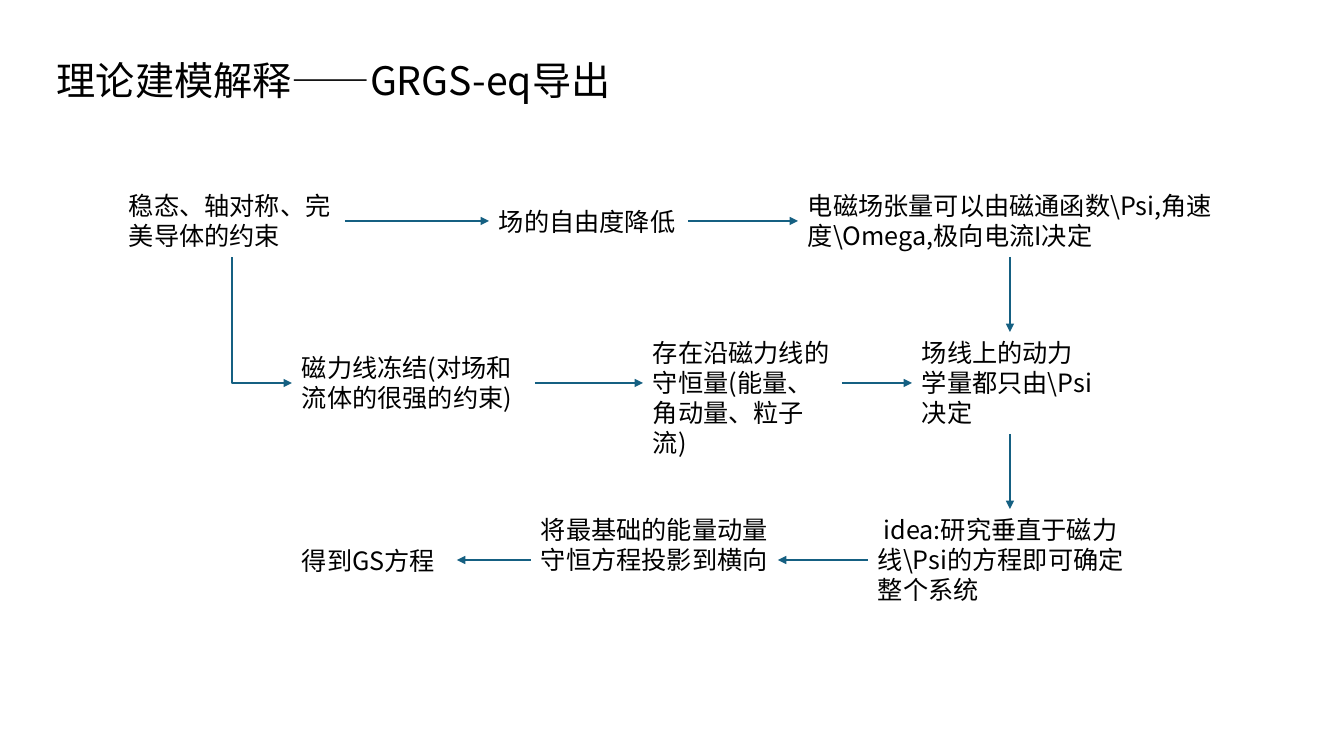
"""Builds a slide with the flow of reasoning behind the GRGS equation."""
from lxml import etree
from pptx import Presentation
from pptx.dml.color import RGBColor
from pptx.enum.shapes import MSO_CONNECTOR
from pptx.enum.text import MSO_AUTO_SIZE
from pptx.oxml.ns import qn
from pptx.util import Emu, Pt

STRAIGHT, ELBOW = MSO_CONNECTOR.STRAIGHT, MSO_CONNECTOR.ELBOW
GROW = MSO_AUTO_SIZE.SHAPE_TO_FIT_TEXT
TOP, LEFT, BOTTOM, RIGHT = range(4)
FONT = "Noto Sans CJK SC"
COLORS = {"text": "000000", "arrow": "156082"}
EMU_PER_PX = 914400 / 100.8


def px(length):
    return Emu(round(length * EMU_PER_PX))


def add_text(slide, text, left, top, width, height, size):
    box = slide.shapes.add_textbox(px(left), px(top), px(width), px(height))
    frame = box.text_frame
    frame.word_wrap = True
    frame.auto_size = GROW
    frame.text = text
    font = frame.paragraphs[0].runs[0].font
    font.size = Pt(size)
    font.color.rgb = RGBColor.from_string(COLORS["text"])
    font.name = FONT
    run_properties = frame.paragraphs[0].runs[0]._r.get_or_add_rPr()
    etree.SubElement(run_properties, qn("a:ea"), typeface=FONT)
    return box


presentation = Presentation()
presentation.slide_width, presentation.slide_height = px(1344), px(756)
slide = presentation.slides.add_slide(presentation.slide_layouts[6])

add_text(slide, "理论建模解释——GRGS-eq导出", 47, 51, 963, 57, 28)

ROW_MIDDLES = [221, 383, 560]
STEPS = [
    ("constraint", 0, 119, 226, 72, "稳态、轴对称、完美导体的约束"),
    ("freedom", 0, 489, 199, 40, "场的自由度降低"),
    ("tensor", 0, 798, 424, 72, "电磁场张量可以由磁通函数\\Psi,角速度\\Omega,极向电流I决定"),
    ("frozen", 1, 292, 243, 72, "磁力线冻结(对场和流体的很强的约束)"),
    ("conserved", 1, 643, 199, 102, "存在沿磁力线的守恒量(能量、角动量、粒子流)"),
    ("dynamics", 1, 912, 196, 102, "场线上的动力学量都只由\\Psi决定"),
    ("idea", 2, 868, 284, 102, " idea:研究垂直于磁力线\\Psi的方程即可确定整个系统"),
    ("projection", 2, 531, 247, 102, "将最基础的能量动量守恒方程投影到横向"),
    ("result", 2, 292, 165, 40, "得到GS方程"),
]
boxes = {}
for name, row, left, width, height, text in STEPS:
    top = ROW_MIDDLES[row] - height // 2
    boxes[name] = add_text(slide, text, left, top, width, height, 18)

ARROWS = [
    ("constraint", RIGHT, "freedom", LEFT),
    ("freedom", RIGHT, "tensor", LEFT),
    ("constraint", BOTTOM, "frozen", LEFT),
    ("frozen", RIGHT, "conserved", LEFT),
    ("conserved", RIGHT, "dynamics", LEFT),
    ("tensor", BOTTOM, "dynamics", TOP),
    ("dynamics", BOTTOM, "idea", TOP),
    ("idea", LEFT, "projection", RIGHT),
    ("projection", LEFT, "result", RIGHT),
]
for start, start_side, end, end_side in ARROWS:
    bent = (start_side, end_side) == (BOTTOM, LEFT)
    arrow = slide.shapes.add_connector(ELBOW if bent else STRAIGHT, 0, 0, 0, 0)
    arrow.begin_connect(boxes[start], start_side)
    arrow.end_connect(boxes[end], end_side)
    arrow.line.color.rgb = RGBColor.from_string(COLORS["arrow"])
    arrow.line.width = Pt(1.5)
    properties = arrow._element.spPr
    etree.SubElement(arrow.line._get_or_add_ln(), qn("a:tailEnd"), type="triangle")
    etree.SubElement(properties, qn("a:effectLst"))
    if bent:
        across, down = arrow.width, arrow.height
        arrow.left += (across - down) // 2
        arrow.top += (down - across) // 2
        arrow.width, arrow.height = down, across
        transform = properties.find(qn("a:xfrm"))
        transform.set("rot", "16200000")
        transform.set("flipH", "1")
        properties.find(qn("a:prstGeom")).set("prst", "bentConnector2")

presentation.save("out.pptx")
